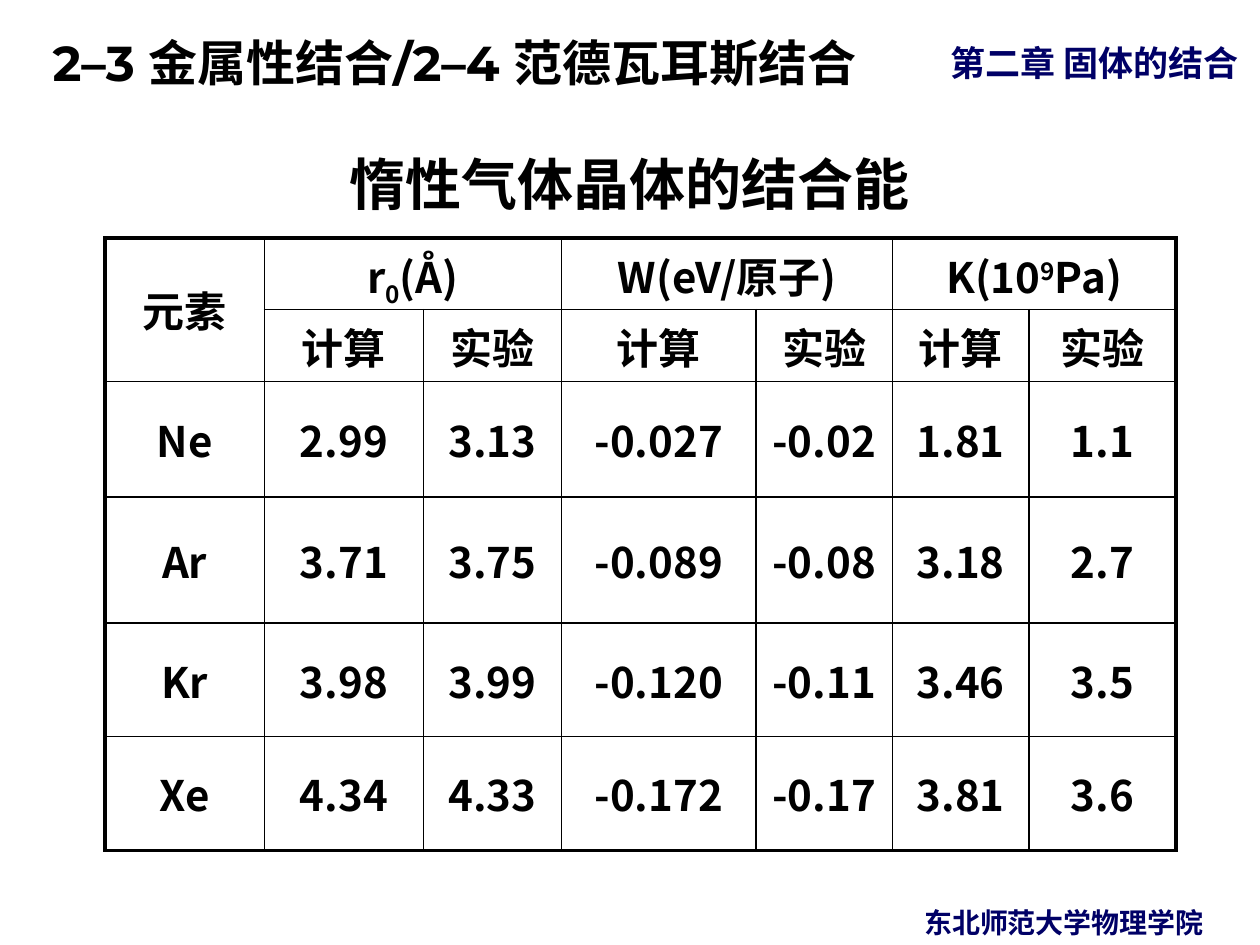
from dataclasses import dataclass

from lxml.etree import SubElement
from pptx import Presentation
from pptx.dml.color import RGBColor
from pptx.enum.text import MSO_ANCHOR, PP_ALIGN
from pptx.oxml import parse_xml
from pptx.oxml.ns import nsdecls, qn
from pptx.util import Pt


@dataclass(frozen=True)
class Theme:
    ink: str = "000000"
    navy: str = "000066"
    latin: str = "Montserrat"
    cjk: str = "Noto Sans CJK SC"
    title: int = 32
    section: int = 28
    table: int = 24
    chapter: int = 20
    footer: int = 16
    outer_line: float = 2.25
    inner_line: float = 1


class SlideBuilder:
    def __init__(self, slide, theme):
        self.slide = slide
        self.theme = theme

    def style(self, paragraph, size, color, font, align):
        paragraph.alignment = align
        paragraph.font.size = Pt(size)
        paragraph.font.bold = True
        paragraph.font.name = font
        paragraph.font.color.rgb = RGBColor.from_string(color)
        defaults = paragraph._p.pPr.find(qn("a:defRPr"))
        SubElement(defaults, qn("a:ea")).set("typeface", self.theme.cjk)

    def text(self, words, box, size, color, font, align=PP_ALIGN.LEFT,
             anchor=MSO_ANCHOR.TOP, spacing=1, indent=0):
        frame = self.slide.shapes.add_textbox(*map(Pt, box)).text_frame
        frame.word_wrap = True
        frame.vertical_anchor = anchor
        paragraph = frame.paragraphs[0]
        paragraph.add_run().text = words
        paragraph.line_spacing = spacing
        if indent:
            paragraph._p.get_or_add_pPr().set("marL", str(Pt(indent)))
        self.style(paragraph, size, color, font, align)

    def border(self, cell, outer_sides):
        properties = cell._tc.get_or_add_tcPr()
        for position, side in enumerate("LRTB"):
            outer = side in outer_sides
            width = Pt(self.theme.outer_line if outer else self.theme.inner_line)
            properties.insert(position, parse_xml(
                f'<a:ln{side} {nsdecls("a")} w="{width}"><a:solidFill>'
                f'<a:srgbClr val="{self.theme.ink}"/></a:solidFill></a:ln{side}>'))

    def fill_cell(self, cell, pieces):
        cell.vertical_anchor = MSO_ANCHOR.MIDDLE
        cell.fill.background()
        paragraph = cell.text_frame.paragraphs[0]
        for words, baseline in pieces:
            run = paragraph.add_run()
            run.text = words
            if baseline:
                run._r.get_or_add_rPr().set("baseline", str(baseline * 1000))
        self.style(paragraph, self.theme.table, self.theme.ink,
                   self.theme.cjk, PP_ALIGN.CENTER)

    def table(self, left, top, widths, heights, rows, merges):
        grid = self.slide.shapes.add_table(
            len(heights), len(widths), Pt(left), Pt(top),
            Pt(sum(widths)), Pt(sum(heights))).table
        grid.first_row = grid.horz_banding = False
        for column, width in zip(grid.columns, widths):
            column.width = Pt(width)
        for row, height in zip(grid.rows, heights):
            row.height = Pt(height)
        for first, last in merges:
            grid.cell(*first).merge(grid.cell(*last))
        for r, row in enumerate(rows):
            for c, content in enumerate(row):
                cell = grid.cell(r, c)
                pieces = [(content, 0)] if isinstance(content, str) else content
                self.fill_cell(cell, pieces or [])
                right = c + (cell.span_width if cell.is_merge_origin else 1)
                edges = {"L": c == 0, "R": right == len(widths),
                         "T": r == 0, "B": r == len(heights) - 1}
                self.border(cell, [side for side, outer in edges.items() if outer])


def main():
    presentation = Presentation()
    presentation.slide_width, presentation.slide_height = Pt(720), Pt(540)
    theme = Theme()
    page = SlideBuilder(
        presentation.slides.add_slide(presentation.slide_layouts[6]), theme)

    page.text("第二章 固体的结合", (536, 20, 184, 31),
              theme.chapter, theme.navy, theme.cjk)
    page.text("2–3 金属性结合/2–4 范德瓦耳斯结合", (0, 8, 588, 46),
              theme.section, theme.ink, theme.latin,
              anchor=MSO_ANCHOR.MIDDLE, spacing=1.25, indent=23)
    page.text("东北师范大学物理学院", (496, 514, 224, 26),
              theme.footer, theme.navy, theme.cjk, PP_ALIGN.CENTER)
    page.text("惰性气体晶体的结合能", (36, 74, 648, 54),
              theme.title, theme.ink, theme.latin, PP_ALIGN.CENTER,
              MSO_ANCHOR.BOTTOM, 0.9)

    quantities = [
        [("r", 0), ("0", -25), ("(Å)", 0)],
        "W(eV/原子)",
        [("K(10", 0), ("9", 30), ("Pa)", 0)],
    ]
    energies = [
        ["Ne", "2.99", "3.13", "-0.027", "-0.02", "1.81", "1.1"],
        ["Ar", "3.71", "3.75", "-0.089", "-0.08", "3.18", "2.7"],
        ["Kr", "3.98", "3.99", "-0.120", "-0.11", "3.46", "3.5"],
        ["Xe", "4.34", "4.33", "-0.172", "-0.17", "3.81", "3.6"],
    ]
    heading = ["元素"]
    for quantity in quantities:
        heading += [quantity, None]
    subheading = [None] + ["计算", "实验"] * len(quantities)
    merges = [((0, 0), (1, 0))] + [((0, c), (0, c + 1)) for c in (1, 3, 5)]
    page.table(60, 136, [91, 91, 79, 111, 78, 78, 84],
               [41, 41, 66, 72, 65, 65],
               [heading, subheading, *energies], merges)

    presentation.save("out.pptx")


if __name__ == "__main__":
    main()
